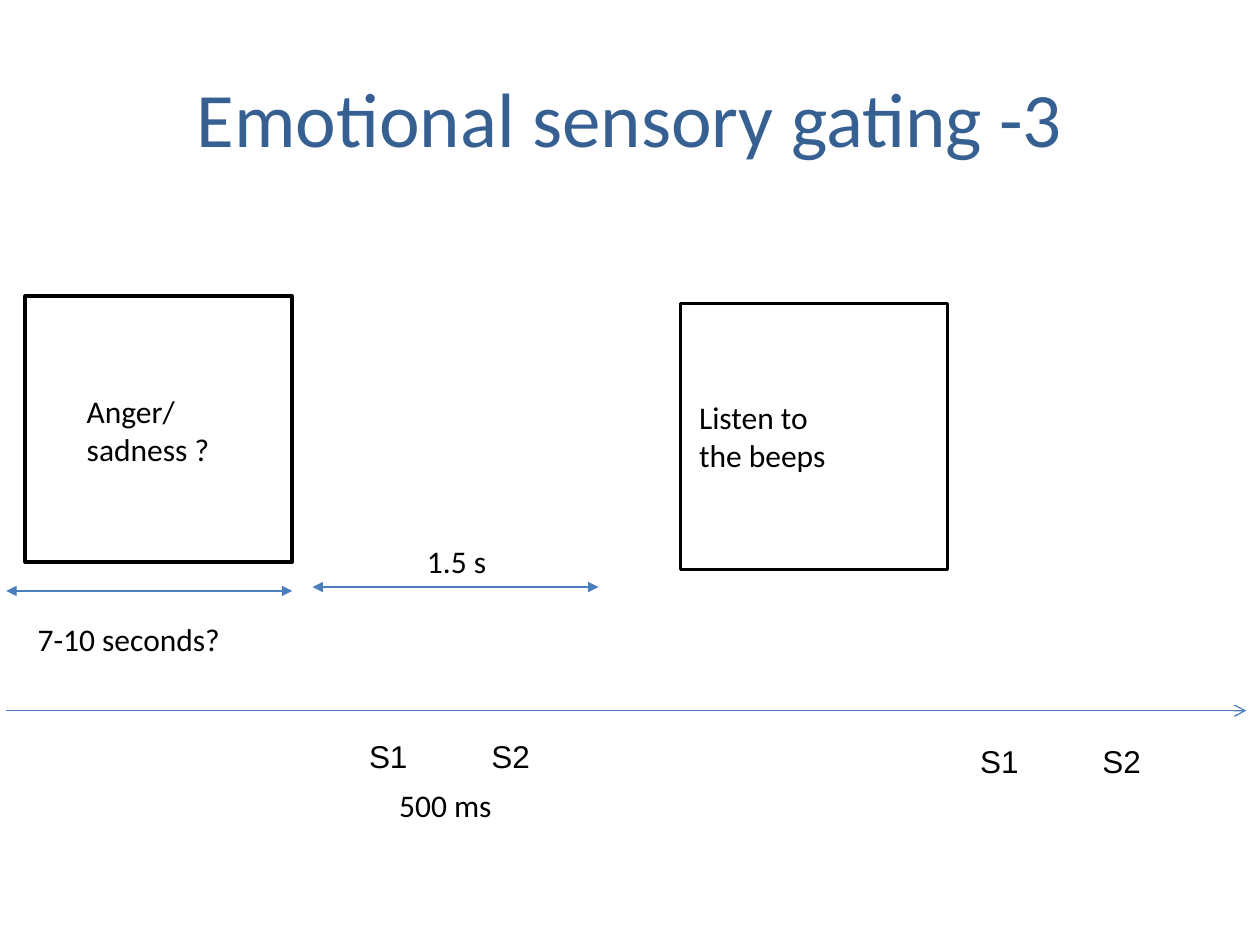
from dataclasses import dataclass

from lxml.etree import SubElement
from pptx import Presentation
from pptx.dml.color import RGBColor
from pptx.enum.shapes import MSO_CONNECTOR, MSO_SHAPE
from pptx.enum.text import MSO_ANCHOR, MSO_AUTO_SIZE, PP_ALIGN
from pptx.oxml.ns import qn
from pptx.slide import Slide
from pptx.util import Pt

TITLE_BLUE = RGBColor(0x37, 0x60, 0x92)
ARROW_BLUE = RGBColor(0x4B, 0x7E, 0xBC)
BLACK = RGBColor(0, 0, 0)
SCREEN_WIDTH, SCREEN_HEIGHT = 152.6, 151.9
LABEL_HEIGHT = 28.8
TONE_GAP = 69.9


@dataclass
class Label:
    text: str
    left: float
    top: float
    width: float
    height: float = LABEL_HEIGHT
    font: str = "Calibri"


@dataclass
class Arrow:
    left: float
    right: float
    y: float
    head: str
    both_ends: bool = True


@dataclass
class Screen:
    left: float
    top: float
    prompt: Label


def add_label(slide: Slide, label: Label) -> None:
    box = slide.shapes.add_textbox(
        Pt(label.left), Pt(label.top), Pt(label.width), Pt(label.height))
    frame = box.text_frame
    frame.word_wrap = True
    frame.auto_size = MSO_AUTO_SIZE.SHAPE_TO_FIT_TEXT
    run = frame.paragraphs[0].add_run()
    run.text = label.text
    run.font.name = label.font
    run.font.size = Pt(18)
    run.font.color.rgb = BLACK


def add_arrow(slide: Slide, arrow: Arrow) -> None:
    connector = slide.shapes.add_connector(
        MSO_CONNECTOR.STRAIGHT,
        Pt(arrow.left), Pt(arrow.y), Pt(arrow.right), Pt(arrow.y))
    connector.line.color.rgb = ARROW_BLUE
    connector.line.width = Pt(0.75)
    line = connector.line._get_or_add_ln()
    ends = ("a:headEnd", "a:tailEnd") if arrow.both_ends else ("a:tailEnd",)
    for end in ends:
        SubElement(line, qn(end), type=arrow.head)
    SubElement(connector._element.spPr, qn("a:effectLst"))


def add_screen(slide: Slide, screen: Screen) -> None:
    square = slide.shapes.add_shape(
        MSO_SHAPE.RECTANGLE, Pt(screen.left), Pt(screen.top),
        Pt(SCREEN_WIDTH), Pt(SCREEN_HEIGHT))
    square.shadow.inherit = False
    square.fill.background()
    square.line.color.rgb = BLACK
    square.line.width = Pt(2)
    add_label(slide, screen.prompt)


def add_tone_pair(slide: Slide, left: float, top: float) -> None:
    for index, tone in enumerate(("S1", "S2")):
        add_label(slide, Label(tone, left + index * TONE_GAP, top, 48.2, font="Arial"))


def add_title(slide: Slide, text: str) -> None:
    title = slide.shapes.title
    title.left, title.top, title.width, title.height = Pt(36), Pt(21.6), Pt(648), Pt(90)
    title.text_frame.vertical_anchor = MSO_ANCHOR.MIDDLE
    paragraph = title.text_frame.paragraphs[0]
    paragraph.alignment = PP_ALIGN.CENTER
    run = paragraph.add_run()
    run.text = text
    run.font.name = "Calibri"
    run.font.size = Pt(44)
    run.font.color.rgb = TITLE_BLUE


TIMELINE = Arrow(3.6, 712.1, 406.1, "arrow", both_ends=False)
DURATIONS = [
    (Arrow(3.6, 167, 337.7, "triangle"), Label("7-10 seconds?", 14.4, 350.6, 152.6)),
    (Arrow(178.6, 342, 335.5, "triangle"), Label("1.5 s", 236.9, 306, 54.7)),
]
TONE_INTERVAL = Label("500 ms", 221, 445.7, 123.1)
TONE_PAIRS = [(203.8, 417.6), (553, 420.5)]
SCREENS = [
    Screen(14.4, 169.2, Label("Anger/ sadness ?", 42.5, 220.3, 90.7, 51.1)),
    Screen(388.8, 173.5, Label("Listen to the beeps", 392.4, 223.9, 90.7, 51.1)),
]


def main() -> None:
    presentation = Presentation()
    presentation.slide_width, presentation.slide_height = Pt(720), Pt(540)
    slide = presentation.slides.add_slide(presentation.slide_layouts[5])
    add_title(slide, "Emotional sensory gating -3")

    # Timeline with the paired tones below it
    add_arrow(slide, TIMELINE)
    for left, top in TONE_PAIRS:
        add_tone_pair(slide, left, top)
    add_label(slide, TONE_INTERVAL)

    # Durations above the timeline
    for span, caption in DURATIONS:
        add_arrow(slide, span)
        add_label(slide, caption)

    # Screens shown to the participant
    for screen in SCREENS:
        add_screen(slide, screen)

    presentation.save("out.pptx")


if __name__ == "__main__":
    main()
